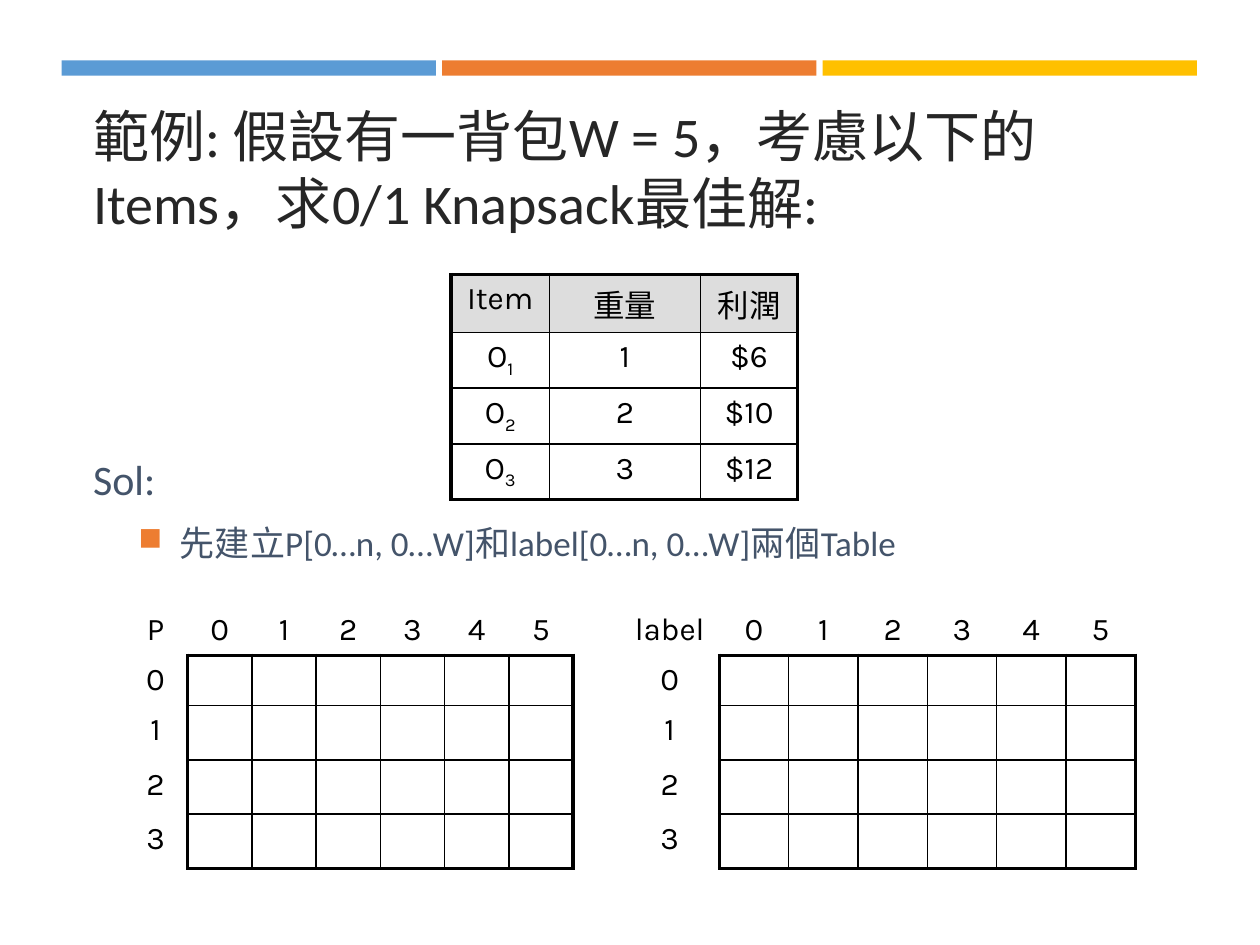
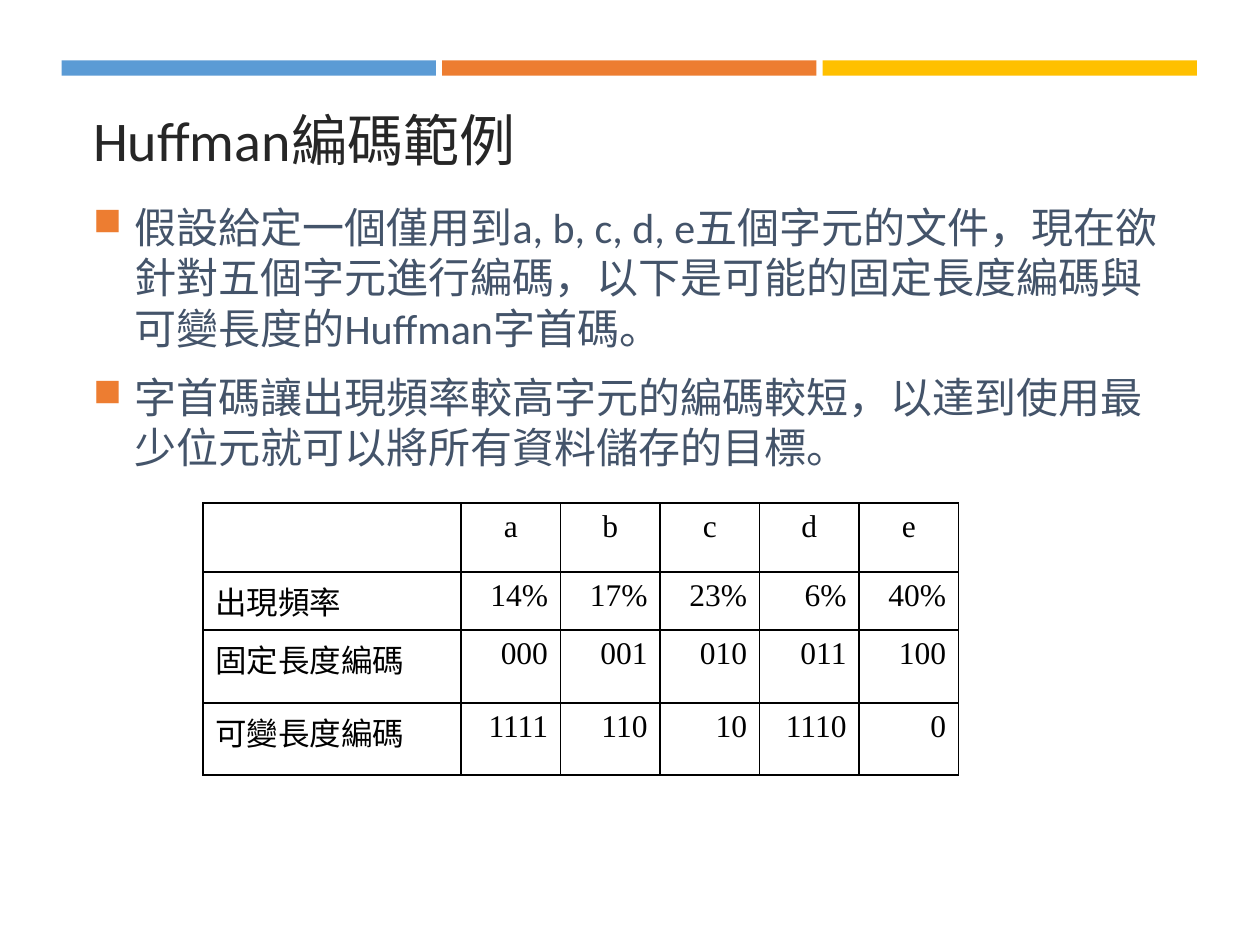
"""Builds two algorithm slides: a 0/1 knapsack example and a Huffman coding example."""
from lxml.etree import SubElement
from pptx import Presentation
from pptx.dml.color import RGBColor
from pptx.enum.shapes import MSO_SHAPE
from pptx.enum.text import MSO_ANCHOR, PP_ALIGN
from pptx.oxml.ns import qn
from pptx.util import Inches, Pt

COLORS = {"blue": "5B9BD5", "orange": "ED7D31", "gold": "FFC000", "title": "262626",
          "body": "44546A", "black": "000000", "header": "DDDDDD"}
BANDS = ["blue", "orange", "gold"]
BAND_LEFT, BAND_TOP, BAND_W, BAND_H, BAND_STEP = 0.49, 0.48, 2.97, 0.12, 3.02
TEXT_LEFT, TEXT_W = 0.64, 8.74
HANG = 0.33
THIN, HEAVY = 1, 2.25

KNAPSACK = {
    "title": "範例: 假設有一背包W = 5，考慮以下的Items，求0/1 Knapsack最佳解:",
    "title_height": 1.18,
    "body_box": (3.55, 2.86),
    "body": [("Sol:", 24, HANG, False),
             ("先建立P[0…n, 0…W]和label[0…n, 0…W]兩個Table", 20, 0.69, True)],
}
HUFFMAN = {
    "title": "Huffman編碼範例",
    "title_height": 0.71,
    "body_box": (1.55, 4.86),
    "body": [
        ("假設給定一個僅用到a, b, c, d, e五個字元的文件，現在欲針對五個字元進行編碼，"
         "以下是可能的固定長度編碼與可變長度的Huffman字首碼。", 24, HANG, True),
        ("字首碼讓出現頻率較高字元的編碼較短，以達到使用最少位元就可以將所有資料儲存的目標。",
         24, HANG, True)],
}
ITEMS = [["Item", "重量", "利潤"],
         ["O_1", "1", "$6"],
         ["O_2", "2", "$10"],
         ["O_3", "3", "$12"]]
CODES = [["", "a", "b", "c", "d", "e"],
         ["出現頻率", "14%", "17%", "23%", "6%", "40%"],
         ["固定長度編碼", "000", "001", "010", "011", "100"],
         ["可變長度編碼", "1111", "110", "10", "1110", "0"]]
GRIDS = [("P", 0.98, 0.51, 0.51), ("label", 4.92, 0.79, 0.55)]
CAPACITY, ITEM_COUNT = 5, 3
GRID_ROWS = [0.39, 0.39, 0.43, 0.43, 0.43]


def rgb(name):
    return RGBColor.from_string(COLORS[name])


def style_run(r, size, color, font, east_asian=False):
    r.font.size, r.font.name = Pt(size), font
    r.font.bold = False
    r.font.color.rgb = rgb(color)
    if east_asian:
        SubElement(r.font._element, qn("a:ea"), typeface=font)


def add_text_box(s, top, height):
    tf = s.shapes.add_textbox(Inches(TEXT_LEFT), Inches(top),
                              Inches(TEXT_W), Inches(height)).text_frame
    tf.word_wrap = True
    return tf


def set_indent(p, left, bulleted):
    pPr = p._p.get_or_add_pPr()
    pPr.set("marL", str(Inches(left)))
    pPr.set("indent", str(-Inches(HANG)))
    if bulleted:
        color = SubElement(pPr, qn("a:buClr"))
        SubElement(color, qn("a:srgbClr"), val=COLORS["orange"])
        SubElement(pPr, qn("a:buSzPct"), val="92000")
        SubElement(pPr, qn("a:buChar"), char="■")


def add_base_slide(prs, content):
    s = prs.slides.add_slide(prs.slide_layouts[6])
    for i, color in enumerate(BANDS):
        band = s.shapes.add_shape(MSO_SHAPE.RECTANGLE, Inches(BAND_LEFT + i * BAND_STEP),
                                  Inches(BAND_TOP), Inches(BAND_W), Inches(BAND_H))
        band.shadow.inherit = False
        band.fill.solid()
        band.fill.fore_color.rgb = rgb(color)
        band.line.fill.background()

    tf = add_text_box(s, 0.75, content["title_height"])
    tf.vertical_anchor = MSO_ANCHOR.MIDDLE
    tf.text = content["title"]
    style_run(tf.paragraphs[0].runs[0], 32, "title", "Calibri", True)

    tf = add_text_box(s, *content["body_box"])
    for i, (text, size, left, bulleted) in enumerate(content["body"]):
        p = tf.add_paragraph() if i else tf.paragraphs[0]
        p.text = text
        set_indent(p, left, bulleted)
        if i:
            p.space_before = Pt(size * 0.2)
        p.space_after = Pt(6)
        style_run(p.runs[0], size, "body", "Calibri", True)
    return s


def set_borders(cell, widths):
    tcPr = cell._tc.get_or_add_tcPr()
    for side, width in zip("LRTB", widths):
        line = SubElement(tcPr, qn(f"a:ln{side}"), w=str(Pt(width)))
        if width:
            fill = SubElement(line, qn("a:solidFill"))
            SubElement(fill, qn("a:srgbClr"), val=COLORS["black"])
        else:
            SubElement(line, qn("a:noFill"))


def fill_cell(cell, text, font, align):
    if not text:
        cell.margin_top = cell.margin_bottom = 0
        return
    base, _, subscript = text.partition("_")
    p = cell.text_frame.paragraphs[0]
    p.text = base
    p.alignment = align
    if subscript:
        r = p.add_run()
        r.text = subscript
        r.font._element.set("baseline", "-25000")
    for r in p.runs:
        style_run(r, 18, "black", font)


def add_ruled_table(s, rows, left, top, widths, heights, font="Karla", frame=HEAVY,
                    start=0, shaded_header=False, align=lambda row, col: PP_ALIGN.CENTER):
    """Adds a table whose ruled area begins at row and column `start`."""
    n_rows, n_cols = len(rows), len(rows[0])
    table = s.shapes.add_table(n_rows, n_cols, Inches(left), Inches(top),
                               Inches(sum(widths)), Inches(sum(heights))).table
    table.first_row = table.horz_banding = False
    for column, width in zip(table.columns, widths):
        column.width = Inches(width)
    for row, height in zip(table.rows, heights):
        row.height = Inches(height)

    def rule(edge, across, last):
        if edge < start or across < start:
            return 0
        return frame if edge in (start, last) else THIN

    for i, values in enumerate(rows):
        for j, text in enumerate(values):
            cell = table.cell(i, j)
            set_borders(cell, [rule(j, i, n_cols), rule(j + 1, i, n_cols),
                               rule(i, j, n_rows), rule(i + 1, j, n_rows)])
            if shaded_header and i == 0:
                cell.fill.solid()
                cell.fill.fore_color.rgb = rgb("header")
            else:
                cell.fill.background()
            fill_cell(cell, text, font, align(i, j))


def code_align(row, col):
    if row == 0:
        return PP_ALIGN.CENTER
    return PP_ALIGN.RIGHT if col else PP_ALIGN.LEFT


def main():
    prs = Presentation()
    prs.slide_width, prs.slide_height = Inches(10), Inches(7.5)

    s = add_base_slide(prs, KNAPSACK)
    add_ruled_table(s, ITEMS, 3.58, 2.18, [0.78, 1.2, 0.77], [0.46, 0.43, 0.43, 0.43],
                    shaded_header=True)
    weights = [str(w) for w in range(CAPACITY + 1)]
    for name, left, label_width, cell_width in GRIDS:
        rows = [[name] + weights]
        rows += [[str(i)] + [""] * len(weights) for i in range(ITEM_COUNT + 1)]
        add_ruled_table(s, rows, left, 4.8, [label_width] + [cell_width] * len(weights),
                        GRID_ROWS, start=1)

    s = add_base_slide(prs, HUFFMAN)
    add_ruled_table(s, CODES, 1.61, 3.99, [2.05] + [0.79] * 5, [0.55, 0.46, 0.58, 0.57],
                    font="Times New Roman", frame=THIN, align=code_align)
    prs.save("out.pptx")


if __name__ == "__main__":
    main()
